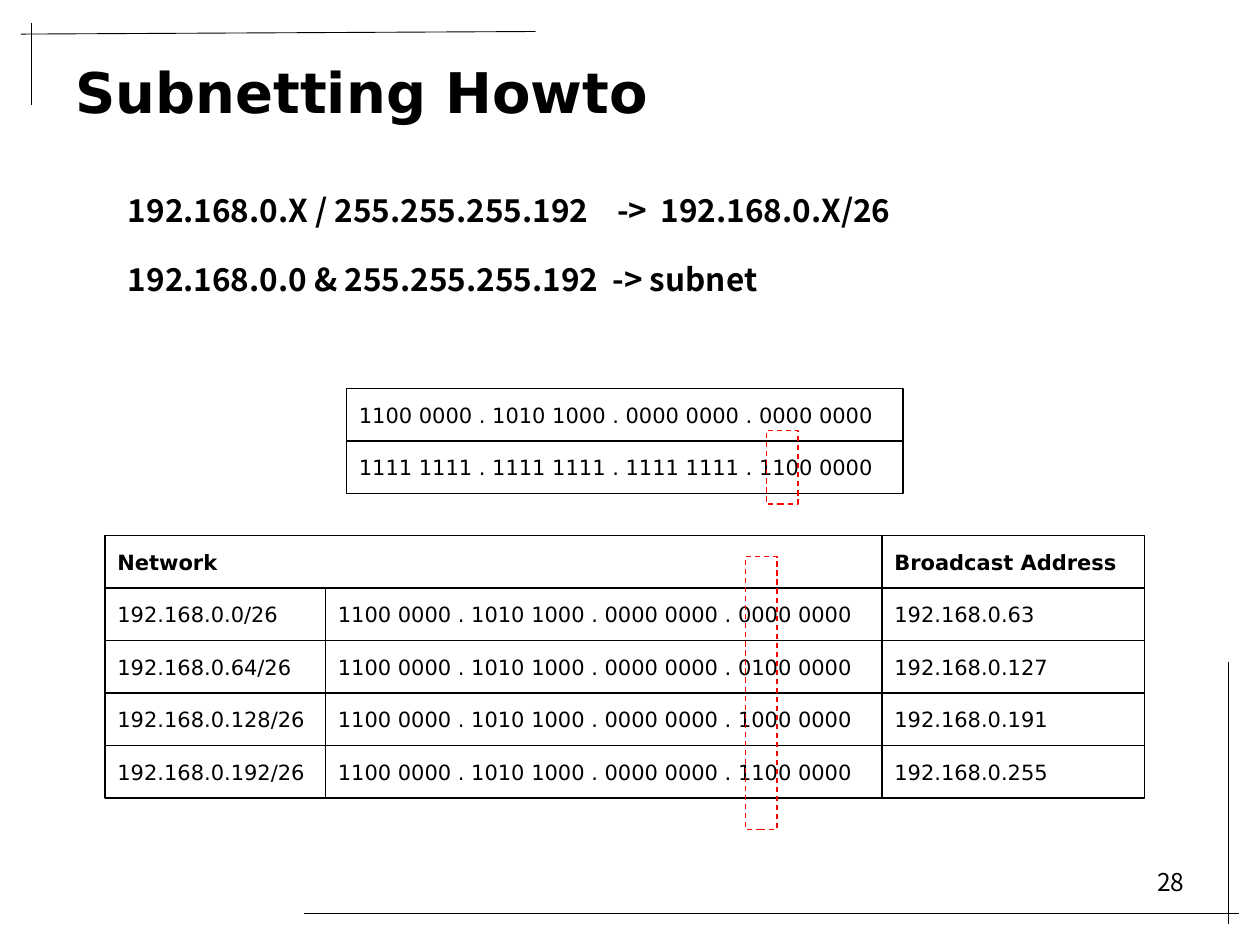
from lxml import etree
from pptx import Presentation
from pptx import util as u
from pptx.dml.color import RGBColor
from pptx.enum import dml, shapes, text
from pptx.oxml.ns import qn

Pt = u.Pt
SANS, CJK = "DejaVu Sans", "Noto Sans CJK KR"
BLACK, WHITE, RED = "000000", "FFFFFF", "FF0000"

# Content
TITLE = "Subnetting Howto"
PAGE = "28"
RULES = [  # text, tab stops
    ("192.168.0.X / 255.255.255.192\t->\t192.168.0.X/26", (279.5, 304.5)),
    ("192.168.0.0 & 255.255.255.192\t-> subnet", (277,)),
]
MASK = [
    "1100 0000 . 1010 1000 . 0000 0000 . 0000 0000",
    "1111 1111 . 1111 1111 . 1111 1111 . 1100 0000",
]
HEADER = ["Network", "Broadcast Address"]
SUBNETS = [
    ("192.168.0.0/26", "1100 0000 . 1010 1000 . 0000 0000 . 0000 0000", "192.168.0.63"),
    ("192.168.0.64/26", "1100 0000 . 1010 1000 . 0000 0000 . 0100 0000", "192.168.0.127"),
    ("192.168.0.128/26", "1100 0000 . 1010 1000 . 0000 0000 . 1000 0000", "192.168.0.191"),
    ("192.168.0.192/26", "1100 0000 . 1010 1000 . 0000 0000 . 1100 0000", "192.168.0.255"),
]

# Layout: left, top, width, height or x1, y1, x2, y2
FRAME_LINES = [(174, 522, 708, 522), (12, 19.5, 306, 18),
               (18, 13, 18, 60), (702, 378, 702, 528)]
BIT_MARKERS = [(426, 318, 18, 156), (438, 246, 18, 42)]
ROW_H = 30
MASK_LEFT, MASK_TOP, MASK_W = 198, 222, 318
GRID_LEFT, GRID_TOP = 60, 306
COL_W = [126, 318, 150]

prs = Presentation()
prs.slide_width, prs.slide_height = Pt(720), Pt(540)
s = prs.slides.add_slide(prs.slide_layouts[6])


def rgb(value):
    return RGBColor.from_string(value)


def write(p, content, size, font=SANS, bold=False, **fmt):
    r = p.add_run()
    r.text = content
    for name, value in {"name": font, "size": Pt(size), "bold": bold}.items():
        setattr(r.font, name, value)
    r.font.color.rgb = rgb(BLACK)
    for name, value in fmt.items():
        setattr(p, name, value)


def text_box(*box):
    tf = s.shapes.add_textbox(*map(Pt, box)).text_frame
    tf.word_wrap = True
    return tf


def rect(box, line, fill=None):
    sp = s.shapes.add_shape(shapes.MSO_SHAPE.RECTANGLE, *map(Pt, box))
    sp.shadow.inherit = False
    if fill:
        sp.fill.solid()
        sp.fill.fore_color.rgb = rgb(fill)
    else:
        sp.fill.background()
    sp.line.color.rgb = rgb(line)
    sp.line.width = Pt(0.75)
    return sp


def cell(content, left, top, width, bold=False):
    tf = rect((left, top, width, ROW_H), BLACK, WHITE).text_frame
    tf.vertical_anchor = text.MSO_ANCHOR.MIDDLE
    write(tf.paragraphs[0], content, 12, bold=bold, alignment=text.PP_ALIGN.LEFT)


def marker(box):
    rect(box, RED).line.dash_style = dml.MSO_LINE.DASH


# Corner lines
for ends in FRAME_LINES:
    c = s.shapes.add_connector(shapes.MSO_CONNECTOR.STRAIGHT, *map(Pt, ends))
    c.line.color.rgb = rgb(BLACK)
    c.line.width = Pt(0.5)
    etree.SubElement(c._element.spPr, qn("a:effectLst"))

# Page number and title
tf = text_box(516, 492, 168, 37.5)
write(tf.paragraphs[0], PAGE, 14, CJK, alignment=text.PP_ALIGN.RIGHT)
tf = text_box(36, 27, 648, 50.5)
tf.vertical_anchor = text.MSO_ANCHOR.MIDDLE
write(tf.paragraphs[0], TITLE, 32, bold=True)

# Address rules
tf = text_box(66, 108, 594, 72)
for i, (rule, stops) in enumerate(RULES):
    p = tf.add_paragraph() if i else tf.paragraphs[0]
    tabs = etree.SubElement(p._p.get_or_add_pPr(), qn("a:tabLst"))
    for stop in stops:
        etree.SubElement(tabs, qn("a:tab"), pos=str(Pt(stop)), algn="l")
    write(p, rule, 18, CJK, True, line_spacing=0.9)
    if i:
        p.space_before = Pt(20)

# Subnet grid: the first heading spans two columns
lefts = [GRID_LEFT + sum(COL_W[:i]) for i in range(len(COL_W))]
cell(HEADER[0], lefts[0], GRID_TOP, COL_W[0] + COL_W[1], True)
cell(HEADER[1], lefts[2], GRID_TOP, COL_W[2], True)
for n, row in enumerate(SUBNETS, 1):
    for content, left, width in zip(row, lefts, COL_W):
        cell(content, left, GRID_TOP + n * ROW_H, width)
marker(BIT_MARKERS[0])

# Address and mask in binary
for n, bits in enumerate(MASK):
    cell(bits, MASK_LEFT, MASK_TOP + n * ROW_H, MASK_W)
marker(BIT_MARKERS[1])

prs.save("out.pptx")
